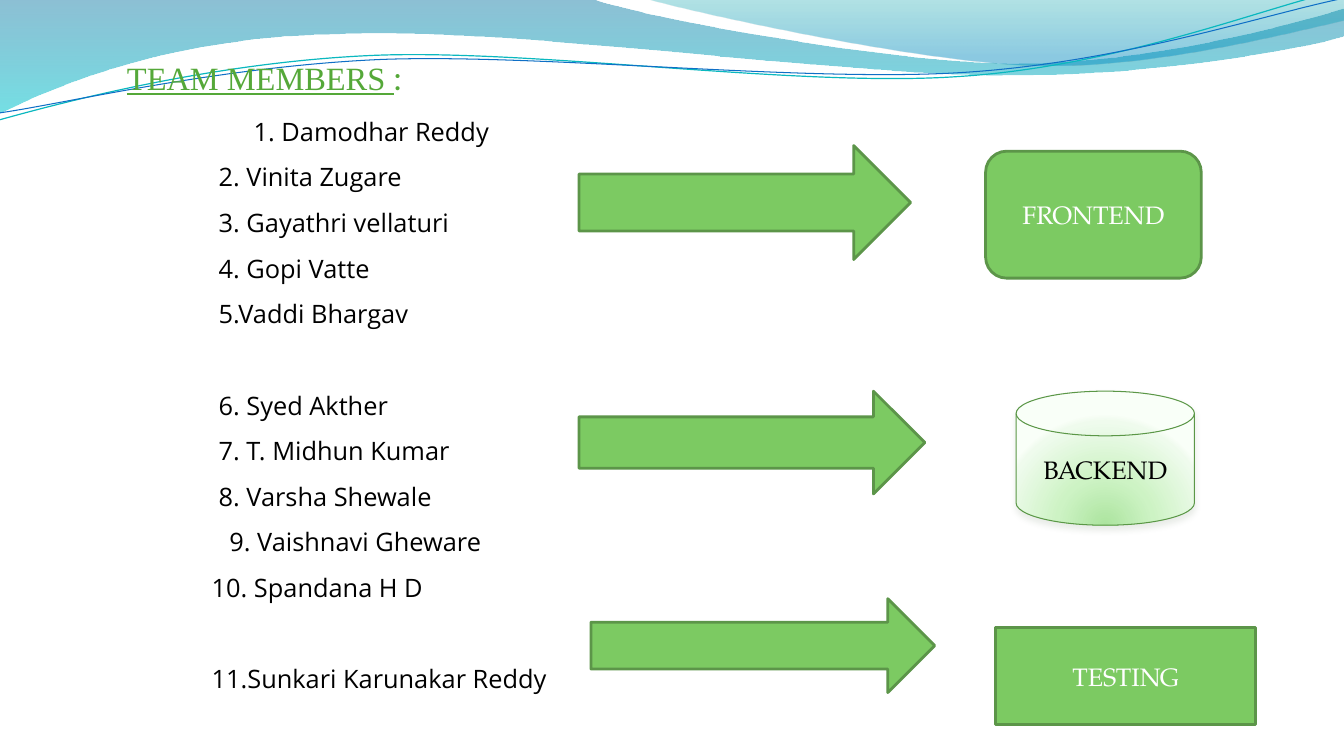
"""Build the team members slide with its wave header and role arrows."""
import math

from lxml import etree
from pptx import Presentation
from pptx.dml.color import RGBColor
from pptx.enum import shapes, text
from pptx.oxml import ns
from pptx.util import Pt

GREEN = RGBColor(0x7C, 0xCA, 0x62)
EDGE = RGBColor(0x5C, 0x95, 0x49)
DISK_EDGE = RGBColor(0x5B, 0x97, 0x47)
DISK_SHADOW = RGBColor(0x2B, 0x48, 0x21)
HEADING = RGBColor(0x55, 0xA8, 0x39)
BLACK = RGBColor(0, 0, 0)
WHITE = RGBColor(0xFF, 0xFF, 0xFF)
TEAL = RGBColor(0x0A, 0xB8, 0xBF)
BLUE = RGBColor(0x0F, 0x6F, 0xC6)

TITLE = [("TEAM MEMBERS ", "Times New Roman", True), (":", "Lato", False)]
MEMBERS = [
    [("1. Damodhar Reddy", 30), ("2. Vinita Zugare", 5), ("3. Gayathri vellaturi", 5),
     ("4. Gopi Vatte", 5), ("5.Vaddi Bhargav", 5)],
    [("6. Syed Akther", 5), ("7. T. Midhun Kumar", 5), ("8. Varsha Shewale", 5),
     ("9. Vaishnavi Gheware", 12.7), ("10. Spandana H D", 0)],
    [("11.Sunkari Karunakar Reddy", 0)],
]
LINE_PITCH = 32.6

ARROWS = [(413.6, 104, 236.9, 81.4), (413.6, 279.4, 247, 73.4), (422.1, 427.7, 245.5, 67)]
ROLES = [
    ("FRONTEND", "ROUNDED_RECTANGLE", (704, 108, 154.1, 90.7)),
    ("TESTING", "RECTANGLE", (711.2, 448, 185.8, 69.8)),
]
DISK = ("BACKEND", "FLOWCHART_MAGNETIC_DISK", (725.8, 279.4, 127.4, 95.8))
DISK_STOPS = [(0, "ACE49F", 100), (43, "CDF3C4", 100), (93, "EFFBED", 100), (100, "F9FFF8", 100)]

WAVES = [
    ((-0.7, -0.7, 961.9, 82.1),
     [(0, 0), (422.6, -0.7), (456.5, 12.2, 637.2, 45.4, 727.9, 45.4),
      (819.4, 45.4, 920.2, 18.7, 959.8, 6.5), (961.2, 25.9),
      (943.9, 31.7, 835.2, 54.7, 715.7, 54), (596.9, 54, 366.5, 20.2, 247, 24.5),
      (123.8, 25.9, 43.9, 59.8, -0.7, 81.4), (0, 0)],
     [(0, "0074A1", 45), (100, "00C6CF", 55)]),
    ((460.1, -0.7, 499.7, 50.4),
     [(460.1, -0.7), (488.9, 7.9, 654.5, 44.6, 738, 46.8),
      (821.5, 49.7, 923, 23, 959.8, 15.1), (959.8, 0), (460.1, -0.7)],
     [(0, "00A1A9", 30), (80, "008BBF", 45)]),
]
STRAND_TILT = -2.7
STRANDS = [
    ((-2.2, 15.8, 961.9, 51.1),
     [(-0.7, 85.7), (46.1, 72.7, 151.9, 44.6, 265.7, 39.6),
      (379.4, 34.6, 568.8, 62.6, 684, 54.7), (799.2, 47.5, 901.4, 5.8, 958.3, -7.2)], TEAL, 0.85),
    ((-1.4, 21.6, 963.4, 41.8),
     [(0, 80.6), (45.4, 74.2, 157, 47.5, 272.2, 42.5),
      (386.6, 38.2, 573.1, 59, 687.6, 51.8), (802.8, 44.6, 903.6, 10.1, 960.5, -1.4)], BLUE, 0.75),
]


def add_child(parent, tag, **attributes):
    values = {name: str(value) for name, value in attributes.items()}
    return etree.SubElement(parent, ns.qn(tag), values)


def add_color(parent, color, alpha):
    node = add_child(parent, "a:srgbClr", val=color)
    add_child(node, "a:alpha", val=alpha * 1000)


def set_gradient(shape, stops, radial=False):
    shape.fill.solid()
    properties = shape._element.spPr
    solid = properties.find(ns.qn("a:solidFill"))
    gradient = etree.Element(ns.qn("a:gradFill"), rotWithShape="1")
    stop_list = add_child(gradient, "a:gsLst")
    for position, color, alpha in stops:
        add_color(add_child(stop_list, "a:gs", pos=position * 1000), color, alpha)
    if radial:
        circle = add_child(gradient, "a:path", path="circle")
        add_child(circle, "a:fillToRect", l=50000, t=130000, r=50000, b=-30000)
    else:
        add_child(gradient, "a:lin", ang=90 * 60000, scaled=1)
    properties.replace(solid, gradient)


def add_outline(page, frame, outline, tilt=0):
    left, top, width, height = frame
    center_x, center_y = left + width / 2, top + height / 2
    cos, sin = math.cos(math.radians(-tilt)), math.sin(math.radians(-tilt))

    def localize(x, y):
        dx, dy = x - center_x, y - center_y
        return Pt(dx * cos - dy * sin + width / 2), Pt(dx * sin + dy * cos + height / 2)

    steps = [[localize(*step[i:i + 2]) for i in range(0, len(step), 2)] for step in outline]
    builder = page.shapes.build_freeform(*steps[0][0])
    builder.add_line_segments([step[-1] for step in steps[1:]], close=False)
    shape = builder.convert_to_shape()
    shape.left, shape.top, shape.width, shape.height = map(Pt, frame)
    shape.rotation = tilt
    shape.shadow.inherit = False
    drawing = shape._element.spPr.find(".//" + ns.qn("a:pathLst"))[0]
    drawing.set("w", str(Pt(width)))
    drawing.set("h", str(Pt(height)))
    for node in list(drawing):
        drawing.remove(node)
    for index, points in enumerate(steps):
        tag = "a:cubicBezTo" if len(points) == 3 else "a:lnTo" if index else "a:moveTo"
        segment = add_child(drawing, tag)
        for x, y in points:
            add_child(segment, "a:pt", x=x, y=y)
    return shape, drawing


def add_waves(page):
    for frame, outline, stops in WAVES:
        wave, drawing = add_outline(page, frame, outline)
        add_child(drawing, "a:close")
        set_gradient(wave, stops)
        wave.line.fill.background()
    for frame, outline, color, width in STRANDS:
        strand, _ = add_outline(page, frame, outline, STRAND_TILT)
        strand.fill.background()
        strand.line.color.rgb = color
        strand.line.width = Pt(width)


def set_frame(frame):
    frame.word_wrap = True
    frame.auto_size = text.MSO_AUTO_SIZE.NONE
    frame.vertical_anchor = text.MSO_ANCHOR.TOP
    frame.margin_left = frame.margin_right = frame.margin_top = frame.margin_bottom = 0


def add_title(page):
    title = page.shapes.title
    title.left, title.top, title.width, title.height = Pt(90.7), Pt(23.8), Pt(320), Pt(48)
    set_frame(title.text_frame)
    para = title.text_frame.paragraphs[0]
    para.alignment = text.PP_ALIGN.LEFT
    para.line_spacing = 1.0
    for words, font, underline in TITLE:
        span = para.add_run()
        span.text = words
        span.font.name, span.font.size = font, Pt(40)
        span.font.color.rgb, span.font.underline = HEADING, underline
        span._r.get_or_add_rPr().set("baseline", "-2000")
    page.shapes._spTree.append(title._element)


def add_members(page):
    box = page.shapes.add_textbox(Pt(151.2), Pt(71.9), Pt(258), Pt(13 * LINE_PITCH))
    frame = box.text_frame
    set_frame(frame)
    para = frame.paragraphs[0]
    for group_index, group in enumerate(MEMBERS):
        for index, (name, indent) in enumerate(group):
            if group_index or index:
                para = frame.add_paragraph()
            para.text = name
            para._p.get_or_add_pPr().set("marL", str(Pt(indent)))
            para.line_spacing = Pt(LINE_PITCH)
            para.space_before = Pt(LINE_PITCH if group_index and index == 0 else 0)
            font = para.runs[0].font
            font.name, font.size, font.color.rgb = "Open Sans", Pt(18.1), BLACK


def add_block(page, kind, place, label="", color=WHITE):
    shape = page.shapes.add_shape(shapes.MSO_SHAPE[kind], *map(Pt, place))
    shape.shadow.inherit = False
    shape.fill.solid()
    shape.fill.fore_color.rgb = GREEN
    shape.line.color.rgb, shape.line.width = EDGE, Pt(2)
    if label:
        shape.text_frame.text = label
        para = shape.text_frame.paragraphs[0]
        para.alignment = text.PP_ALIGN.CENTER
        font = para.runs[0].font
        font.name, font.size, font.color.rgb = "TeX Gyre Pagella", Pt(18), color
    return shape


def add_disk(page):
    label, kind, place = DISK
    disk = add_block(page, kind, place, label, BLACK)
    set_gradient(disk, DISK_STOPS, radial=True)
    disk.line.color.rgb, disk.line.width = DISK_EDGE, Pt(0.75)
    effects = disk._element.spPr.find(ns.qn("a:effectLst"))
    shadow = add_child(effects, "a:outerShdw", blurRad=Pt(4.5), dist=Pt(3),
                       dir=90 * 60000, rotWithShape=0)
    add_color(shadow, DISK_SHADOW, 10)


deck = Presentation()
deck.slide_width, deck.slide_height = Pt(960), Pt(540)
page = deck.slides.add_slide(deck.slide_layouts[5])
add_waves(page)
add_title(page)
add_members(page)
add_disk(page)
for place in ARROWS:
    add_block(page, "RIGHT_ARROW", place)
for label, kind, place in ROLES:
    add_block(page, kind, place, label)
deck.save("out.pptx")
